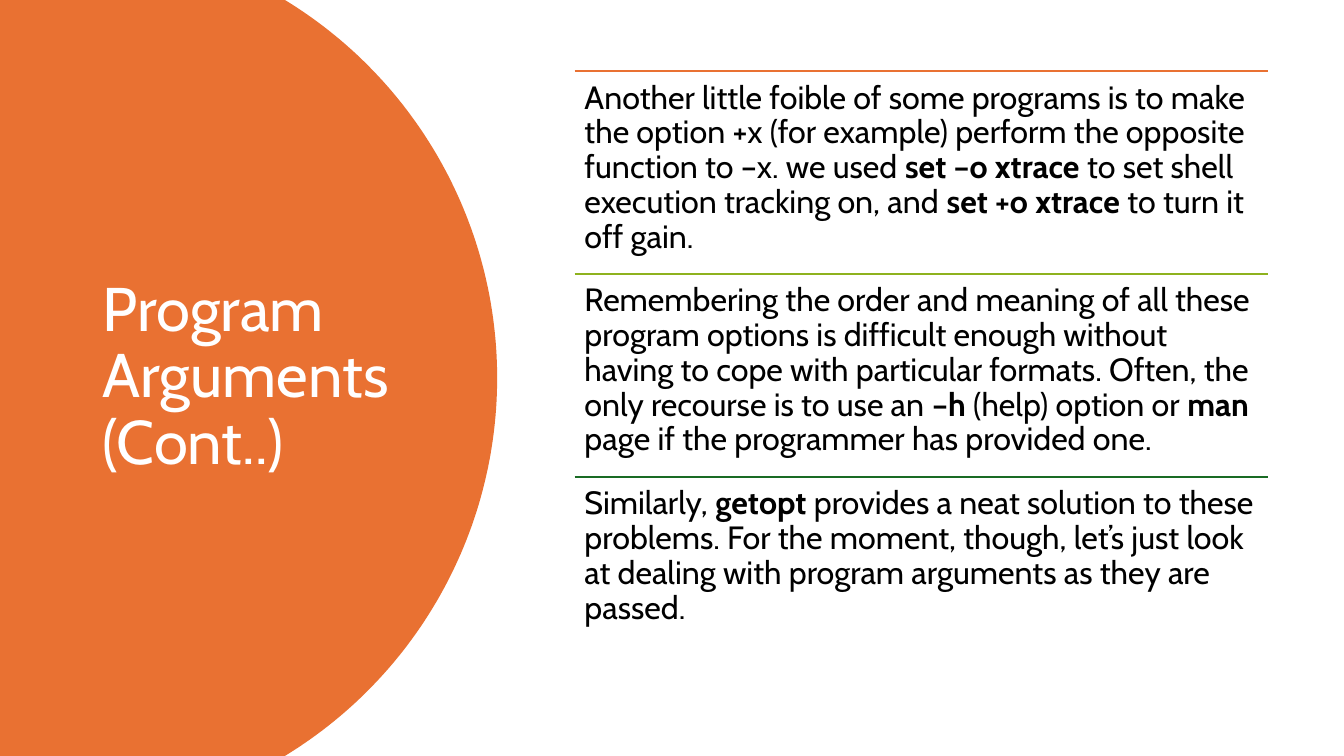
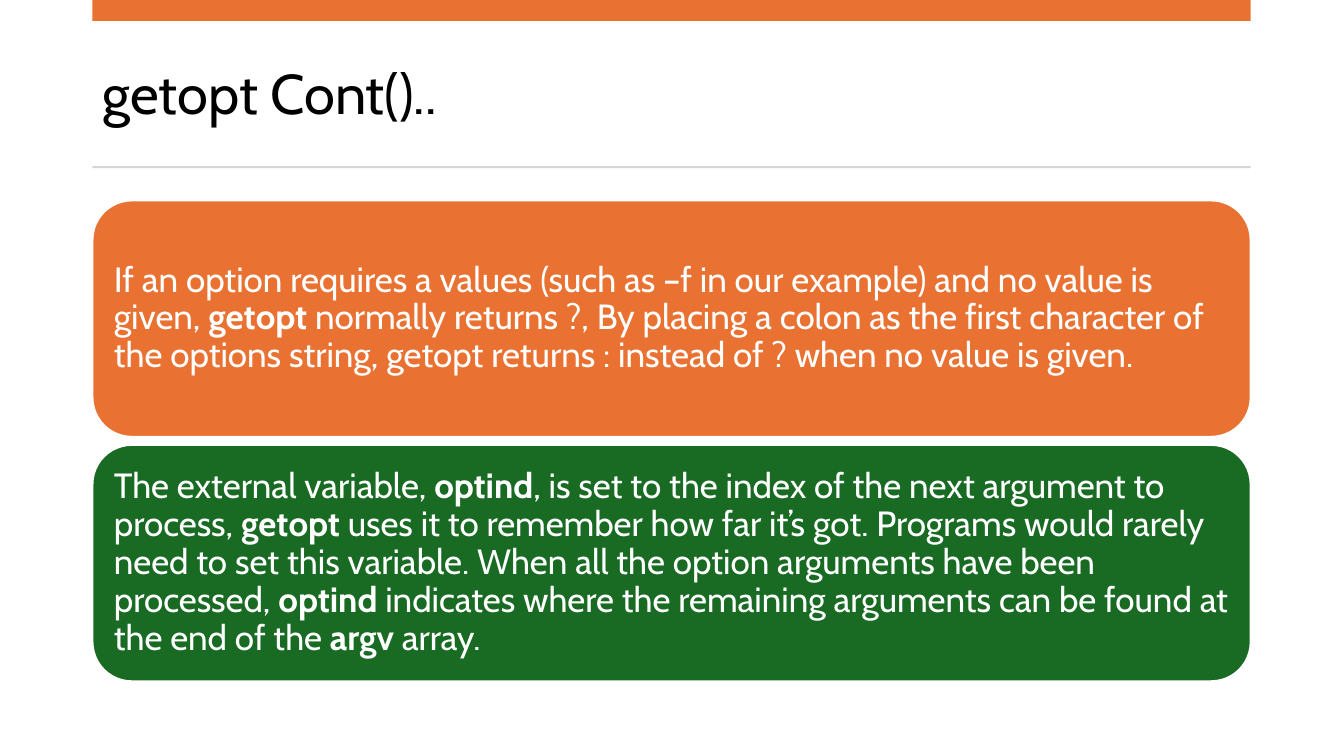
import math

from lxml import etree
from pptx import Presentation
from pptx.dml.color import RGBColor
from pptx.enum import shapes, text
from pptx.oxml import ns
from pptx.util import Cm, Pt

WHITE = RGBColor(0xFF, 0xFF, 0xFF)
BLACK = RGBColor(0x00, 0x00, 0x00)
ORANGE = RGBColor(0xE9, 0x71, 0x32)
LIME = RGBColor(0x8E, 0xB2, 0x1E)
GREEN = RGBColor(0x19, 0x6B, 0x24)
GREY = RGBColor(0xD5, 0xD5, 0xD5)

WIDTH, HEIGHT = 33.87, 19.05
LEFT, CONTENT_W = 2.33, 29.19

NOTES = [
    (ORANGE, "Another little foible of some programs is to make the option +x (for example) "
     "perform the opposite function to –x. we used **set –o xtrace** to set shell execution "
     "tracking on, and **set +o xtrace** to turn it off gain."),
    (LIME, "Remembering the order and meaning of all these program options is difficult enough "
     "without having to cope with particular formats. Often, the only recourse is to use an "
     "**–h** (help) option or **man** page if the programmer has provided one."),
    (GREEN, "Similarly, **getopt** provides a neat solution to these problems. For the moment, "
     "though, let’s just look at dealing with program arguments as they are passed."),
]
CARDS = [
    (ORANGE, "If an option requires a values (such as –f in our example) and no value is given, "
     "**getopt** normally returns ?, By placing a colon as the first character of the options "
     "string, getopt returns : instead of ? when no value is given."),
    (GREEN, "The external variable, **optind**, is set to the index of the next argument to "
     "process, **getopt** uses it to remember how far it’s got. Programs would rarely need to "
     "set this variable. When all the option arguments have been processed, **optind** indicates "
     "where the remaining arguments can be found at the end of the **argv** array."),
]


class Deck:
    """Holds the presentation, its style and the current slide."""

    font = "Cabin"
    spacing = 0.9
    inset = Cm(0.25)
    line_width = Pt(1.5)

    def __init__(self):
        self.prs = Presentation()
        self.prs.slide_width, self.prs.slide_height = Cm(WIDTH), Cm(HEIGHT)
        self.s = None

    def slide(self):
        self.s = self.prs.slides.add_slide(self.prs.slide_layouts[5])

    def style(self, p, size, color):
        p.alignment = text.PP_ALIGN.LEFT
        p.line_spacing = self.spacing
        for r in p.runs:
            r.font.name, r.font.size = self.font, Pt(size)
            r.font.color.rgb = color

    def title(self, words, x, y, w, h, size, color):
        sp = self.s.shapes.title
        sp.left, sp.top, sp.width, sp.height = Cm(x), Cm(y), Cm(w), Cm(h)
        tf = sp.text_frame
        tf.text = words
        tf.word_wrap = True
        tf.auto_size = text.MSO_AUTO_SIZE.NONE
        tf.vertical_anchor = text.MSO_ANCHOR.MIDDLE
        self.style(tf.paragraphs[0], size, color)

    def rich_text(self, sp, words, size, color, anchor):
        tf = sp.text_frame
        tf.word_wrap = True
        tf.vertical_anchor = anchor
        tf.margin_left = tf.margin_right = self.inset
        tf.margin_top = tf.margin_bottom = self.inset
        p = tf.paragraphs[0]
        for i, part in enumerate(words.split("**")):
            r = p.add_run()
            r.text = part
            r.font.bold = i % 2 == 1
        self.style(p, size, color)

    def paint(self, sp, fill, line=None):
        sp.shadow.inherit = False
        sp.fill.solid()
        sp.fill.fore_color.rgb = fill
        if line is None:
            sp.line.fill.background()
        else:
            sp.line.color.rgb = line
            sp.line.width = self.line_width

    def bar(self, y, h, color):
        sp = self.s.shapes.add_shape(shapes.MSO_SHAPE.RECTANGLE,
                                     Cm(LEFT), Cm(y), Cm(CONTENT_W), Cm(h))
        self.paint(sp, color)

    def rounded_panel(self, start, bulge, color, steps=120):
        half = HEIGHT / 2
        depth = bulge - start
        radius = (half ** 2 + depth ** 2) / (2 * depth)
        center = bulge - radius
        sweep = math.asin(half / radius)
        angles = [sweep * (2 * i / steps - 1) for i in range(steps + 1)]
        arc = [(Cm(center + radius * math.cos(a)), Cm(half + radius * math.sin(a)))
               for a in angles]
        outline = self.s.shapes.build_freeform(0, 0)
        outline.add_line_segments(arc + [(0, Cm(HEIGHT))], close=True)
        sp = outline.convert_to_shape()
        self.paint(sp, color)
        self.s.shapes.title._element.addprevious(sp._element)

    def note(self, words, x, y, w, h, color):
        line = self.s.shapes.add_connector(shapes.MSO_CONNECTOR.STRAIGHT,
                                           Cm(x), Cm(y), Cm(x + w), Cm(y))
        line.line.color.rgb = color
        line.line.width = self.line_width
        etree.SubElement(line._element.spPr, ns.qn("a:effectLst"))
        sp = self.s.shapes.add_textbox(Cm(x), Cm(y), Cm(w), Cm(h))
        self.rich_text(sp, words, 23, BLACK, text.MSO_ANCHOR.TOP)

    def card(self, words, y, h, color):
        sp = self.s.shapes.add_shape(shapes.MSO_SHAPE.ROUNDED_RECTANGLE,
                                     Cm(LEFT), Cm(y), Cm(CONTENT_W), Cm(h))
        self.paint(sp, color, WHITE)
        self.rich_text(sp, words, 25, WHITE, text.MSO_ANCHOR.MIDDLE)


def main():
    deck = Deck()

    deck.slide()
    deck.title("Program Arguments (Cont..)", LEFT, 1.78, 8.2, 15.47, 44, WHITE)
    deck.rounded_panel(7.18, 12.53, ORANGE)
    note_h = 5.11
    for i, (color, words) in enumerate(NOTES):
        deck.note(words, 14.48, 1.8 + i * note_h, 17.47, note_h, color)

    deck.slide()
    deck.title("getopt Cont()..", LEFT, 0.94, CONTENT_W, 3, 40, BLACK)
    deck.bar(0, 0.53, ORANGE)
    deck.bar(4.19, 0.05, GREY)
    card_h, gap = 5.96, 0.2
    for i, (color, words) in enumerate(CARDS):
        deck.card(words, 5.05 + i * (card_h + gap), card_h, color)

    deck.prs.save("out.pptx")


if __name__ == "__main__":
    main()
